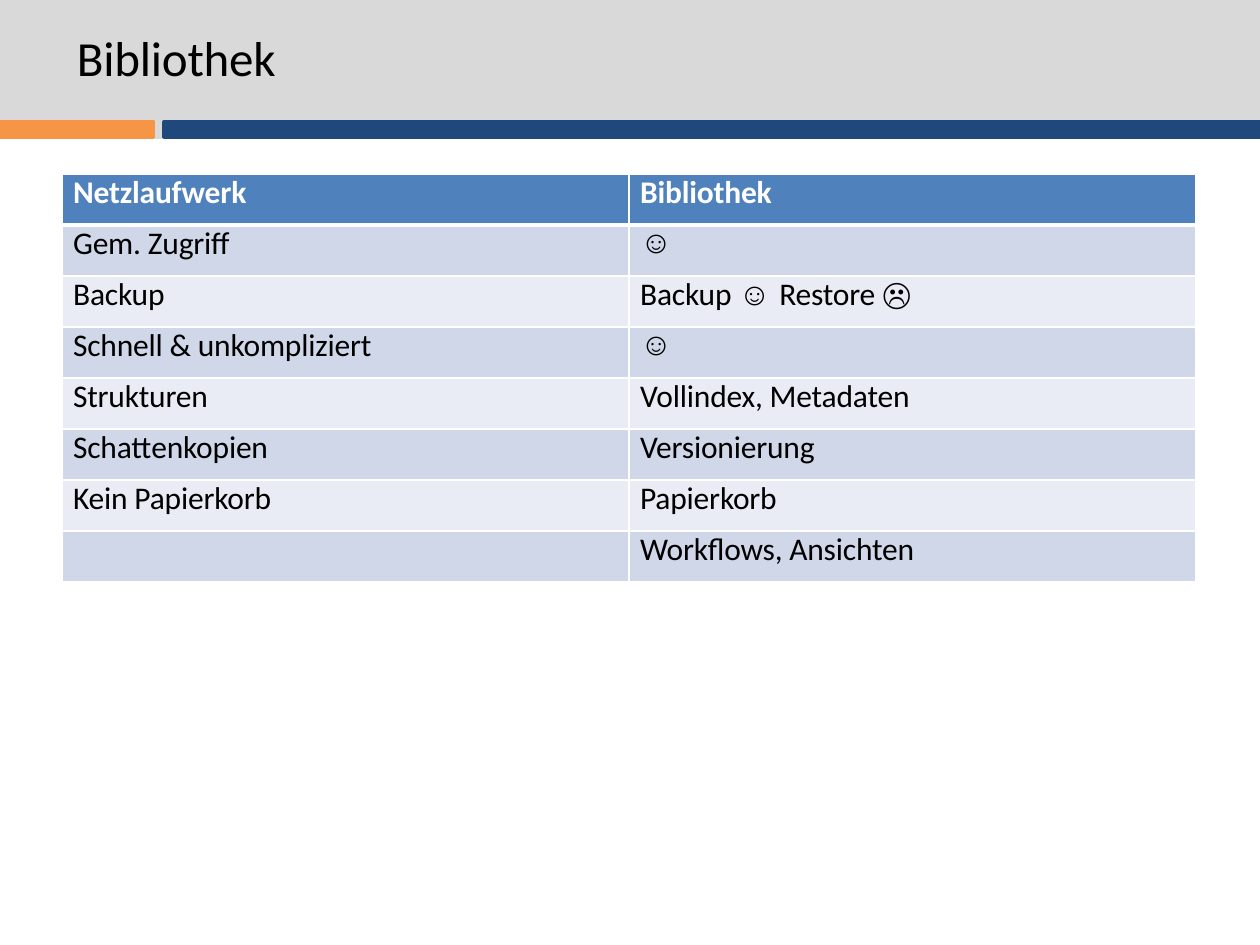
from dataclasses import dataclass

from lxml.etree import SubElement
from pptx import Presentation
from pptx.dml.color import RGBColor
from pptx.enum.shapes import MSO_SHAPE as ShapeKind
from pptx.enum.text import MSO_ANCHOR as Anchor, MSO_AUTO_SIZE as AutoSize, PP_ALIGN as Align
from pptx.oxml.ns import qn
from pptx.util import Emu, Inches, Pt


@dataclass(frozen=True)
class Theme:
    text_font: str = "Calibri"
    symbol_font: str = "Arial"
    title_size: float = 28
    table_size: float = 18
    black: str = "000000"
    white: str = "FFFFFF"
    gray: str = "D9D9D9"
    orange: str = "F79546"
    navy: str = "1F487C"
    header: str = "4F81BC"
    row_fills: tuple[str, str] = ("D0D7E8", "E9ECF4")
    thin_border: float = 1
    thick_border: float = 3
    band_line: float = 2.04


@dataclass(frozen=True)
class Band:
    left: float
    top: float
    width: float
    height: float
    color: str


@dataclass(frozen=True)
class Entry:
    runs: tuple[str, ...] = ()
    space_before: float = 1.9


THEME = Theme()
SYMBOLS = "☺☹"

BANDS = (
    Band(0, 0, 10, 1.09, THEME.gray),
    Band(0, 0.97, 1.22, 0.12, THEME.orange),
    Band(1.3, 0.97, 8.7, 0.12, THEME.navy),
)

ROWS = (
    (Entry(("Netzlaufwerk",)), Entry(("Bibliothek",))),
    (Entry(("Gem. Zugriff",), 0.9), Entry(("☺",), 1.1)),
    (Entry(("Backup",)), Entry(("Backup ", "☺ ", "Restore ", "☹"), 2.2)),
    (Entry(("Schnell & unkompliziert",)), Entry(("☺",), 2.2)),
    (Entry(("Strukturen",)), Entry(("Vollindex, Metadaten",))),
    (Entry(("Schattenkopien",)), Entry(("Versionierung",))),
    (Entry(("Kein Papierkorb",)), Entry(("Papierkorb",))),
    (Entry(), Entry(("Workflows, Ansichten",))),
)


def rgb(color: str) -> RGBColor:
    return RGBColor.from_string(color)


def add_run(paragraph, text: str, size: float, color: str, bold: bool = False) -> None:
    run = paragraph.add_run()
    run.text = text
    is_symbol = any(symbol in text for symbol in SYMBOLS)
    run.font.name = THEME.symbol_font if is_symbol else THEME.text_font
    run.font.size = Pt(size)
    run.font.bold = bold
    run.font.color.rgb = rgb(color)
    run.font._element.set("spc", "-10")


def draw_band(slide, band: Band) -> None:
    shape = slide.shapes.add_shape(
        ShapeKind.RECTANGLE,
        Inches(band.left), Inches(band.top), Inches(band.width), Inches(band.height),
    )
    shape.shadow.inherit = False
    shape.fill.solid()
    shape.fill.fore_color.rgb = rgb(band.color)
    shape.line.color.rgb = rgb(band.color)
    shape.line.width = Pt(THEME.band_line)


def draw_title(slide, text: str) -> None:
    title = slide.shapes.title
    slide.shapes._spTree.append(title._element)
    title.left, title.top = Inches(0.6), Inches(0.22)
    title.width, title.height = Inches(8.81), Inches(0.5)
    frame = title.text_frame
    frame.margin_left = frame.margin_right = frame.margin_top = frame.margin_bottom = 0
    frame.vertical_anchor = Anchor.TOP
    frame.auto_size = AutoSize.NONE
    paragraph = frame.paragraphs[0]
    paragraph.alignment = Align.LEFT
    paragraph._p.get_or_add_pPr().set("marL", str(Inches(0.01)))
    add_run(paragraph, text, THEME.title_size, THEME.black)


def set_borders(cell, top: float, bottom: float) -> None:
    properties = cell._tc.get_or_add_tcPr()
    widths = {"lnL": THEME.thin_border, "lnR": THEME.thin_border, "lnT": top, "lnB": bottom}
    for position, (side, width) in enumerate(widths.items()):
        line = SubElement(properties, qn(f"a:{side}"), w=str(Pt(width)))
        fill = SubElement(line, qn("a:solidFill"))
        SubElement(fill, qn("a:srgbClr"), val=THEME.white)
        properties.insert(position, line)


def fill_cell(cell, entry: Entry, row_index: int) -> None:
    is_header = row_index == 0
    cell.margin_left = cell.margin_right = cell.margin_top = cell.margin_bottom = 0
    cell.fill.solid()
    fill_color = THEME.header if is_header else THEME.row_fills[(row_index - 1) % 2]
    cell.fill.fore_color.rgb = rgb(fill_color)
    set_borders(
        cell,
        top=THEME.thick_border if row_index == 1 else THEME.thin_border,
        bottom=THEME.thick_border if is_header else THEME.thin_border,
    )
    paragraph = cell.text_frame.paragraphs[0]
    paragraph.space_before = Pt(entry.space_before)
    paragraph._p.get_or_add_pPr().set("marL", str(Inches(0.09)))
    color = THEME.white if is_header else THEME.black
    for text in entry.runs:
        add_run(paragraph, text, THEME.table_size, color, is_header)


def draw_table(slide, rows: tuple[tuple[Entry, ...], ...]) -> None:
    height = Inches(3.24)
    table = slide.shapes.add_table(
        len(rows), len(rows[0]), Inches(0.49), Inches(1.38), Inches(9), height
    ).table
    table.first_row = False
    table.horz_banding = False
    for row_index, entries in enumerate(rows):
        table.rows[row_index].height = Emu(height // len(rows))
        for column_index, entry in enumerate(entries):
            fill_cell(table.cell(row_index, column_index), entry, row_index)


def main() -> None:
    presentation = Presentation()
    presentation.slide_width, presentation.slide_height = Inches(10), Inches(7.5)
    slide = presentation.slides.add_slide(presentation.slide_layouts[5])
    for band in BANDS:
        draw_band(slide, band)
    draw_title(slide, "Bibliothek")
    draw_table(slide, ROWS)
    presentation.save("out.pptx")


if __name__ == "__main__":
    main()
